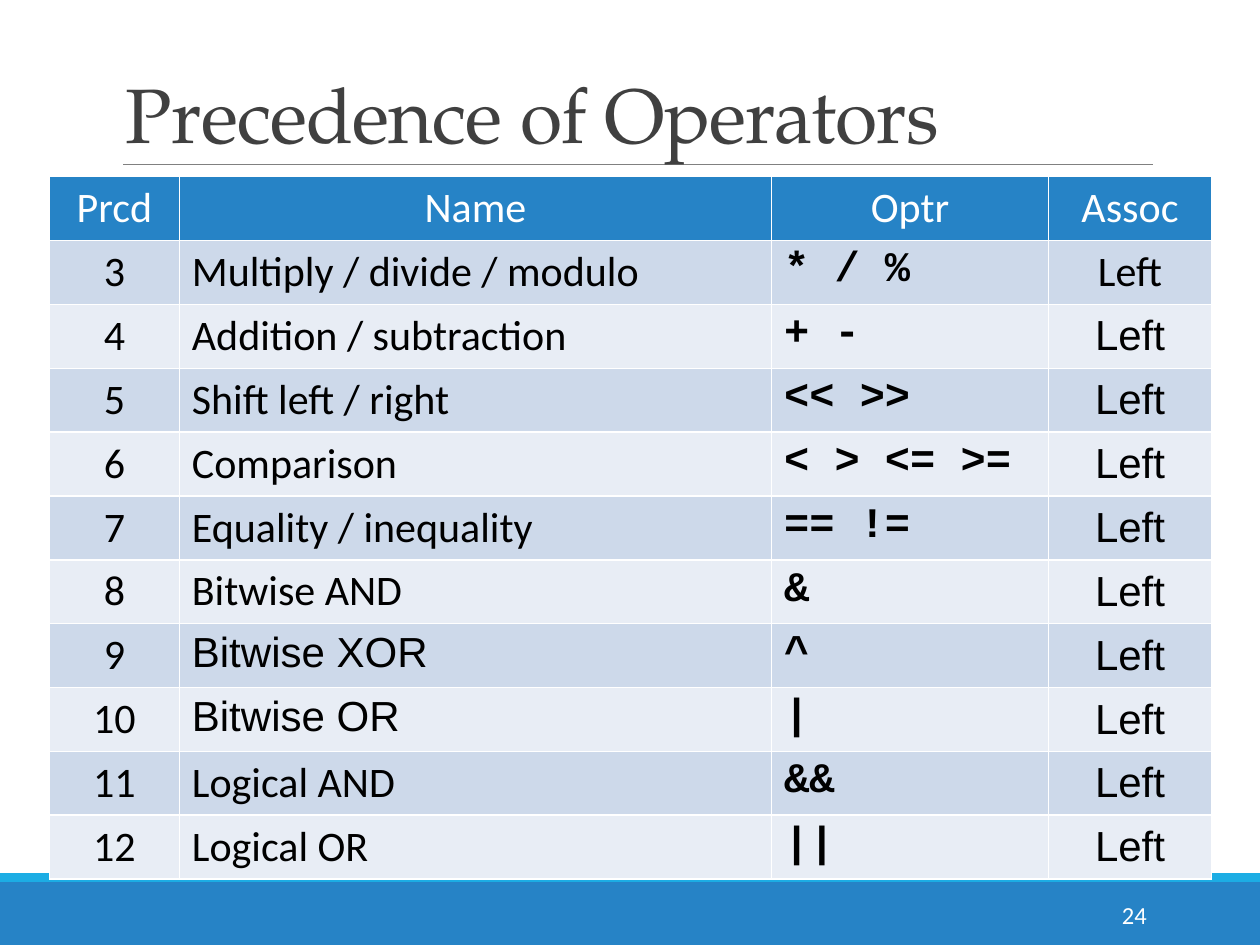
from lxml import etree
from pptx import Presentation
from pptx.dml.color import RGBColor
from pptx.enum import shapes, text
from pptx.oxml import ns
from pptx.util import Pt

ALIGN = text.PP_ALIGN
ANCHOR = text.MSO_ANCHOR
BODY, SANS, CODE = "Calibri", "Arial", "Courier New"
WHITE, BLACK, BLUE = "FFFFFF", "000000", "2683C6"
BANDS = ("CDD9EA", "E8EDF5")

HEADINGS = ("Prcd", "Name", "Optr", "Assoc")
COLUMN_WIDTHS = (74.2, 338.4, 158.4, 92.9)
ROW_HEIGHT = 36.5
FIRST_PRECEDENCE = 3
# name, name font, operators, associativity font
OPERATORS = (
    ("Multiply / divide / modulo", BODY, "* / %", BODY),
    ("Addition / subtraction", BODY, "+ -", SANS),
    ("Shift left / right", BODY, "<< >>", SANS),
    ("Comparison", BODY, "< > <= >=", SANS),
    ("Equality / inequality", BODY, "== !=", SANS),
    ("Bitwise AND", BODY, "&", SANS),
    ("Bitwise XOR", SANS, "^", SANS),
    ("Bitwise OR", SANS, "|", SANS),
    ("Logical AND", BODY, "&&", SANS),
    ("Logical OR", BODY, "||", SANS),
)


def colour(value):
    return RGBColor.from_string(value)


class Painter:
    """Holds the table style and the page being drawn."""

    cell_size = 24
    border_width = 1

    def __init__(self, page):
        self.page = page

    def bar(self, left, top, width, height, fill):
        shape = self.page.shapes.add_shape(
            shapes.MSO_SHAPE.RECTANGLE, Pt(left), Pt(top), Pt(width), Pt(height))
        shape.shadow.inherit = False
        shape.fill.solid()
        shape.fill.fore_color.rgb = colour(fill)
        shape.line.fill.background()

    def rule(self, left, right, y, stroke, width):
        line = self.page.shapes.add_connector(
            shapes.MSO_CONNECTOR.STRAIGHT, Pt(left), Pt(y), Pt(right), Pt(y))
        line.line.color.rgb = colour(stroke)
        line.line.width = Pt(width)
        etree.SubElement(line._element.spPr, ns.qn("a:effectLst"))

    def set_words(self, frame, words, font, size, ink, align=ALIGN.LEFT, bold=False):
        frame.text = words
        para = frame.paragraphs[0]
        para.alignment = align
        span = para.runs[0]
        span.font.name = font
        span.font.size = Pt(size)
        span.font.bold = bold
        span.font.color.rgb = colour(ink)
        return para

    def label(self, left, top, width, height, words, font, size, ink,
              anchor, align=ALIGN.LEFT):
        box = self.page.shapes.add_textbox(Pt(left), Pt(top), Pt(width), Pt(height))
        box.text_frame.word_wrap = True
        box.text_frame.vertical_anchor = anchor
        return self.set_words(box.text_frame, words, font, size, ink, align)

    def grid(self, left, top, widths, row_count):
        frame = self.page.shapes.add_table(
            row_count, len(widths), Pt(left), Pt(top),
            Pt(sum(widths)), Pt(row_count * ROW_HEIGHT))
        table = frame.table
        for column, width in zip(table.columns, widths):
            column.width = Pt(width)
        for row in table.rows:
            row.height = Pt(ROW_HEIGHT)
        return table

    def cell(self, cell, words, font, fill, ink=BLACK, align=ALIGN.LEFT,
             anchor=ANCHOR.TOP, bold=False):
        self.set_words(cell.text_frame, words, font, self.cell_size, ink, align, bold)
        cell.vertical_anchor = anchor
        self.borders(cell)
        cell.fill.solid()
        cell.fill.fore_color.rgb = colour(fill)

    def borders(self, cell):
        properties = cell._tc.get_or_add_tcPr()
        for side in ("lnL", "lnR", "lnT", "lnB"):
            line = etree.SubElement(properties, ns.qn(f"a:{side}"),
                                    w=str(Pt(self.border_width)))
            fill = etree.SubElement(line, ns.qn("a:solidFill"))
            etree.SubElement(fill, ns.qn("a:srgbClr"), val=WHITE)


def main():
    deck = Presentation()
    deck.slide_width, deck.slide_height = Pt(720), Pt(540)
    painter = Painter(deck.slides.add_slide(deck.slide_layouts[6]))

    painter.bar(0, 504, 720, 36, BLUE)
    painter.bar(0, 499, 720, 5, "1CADE4")
    painter.rule(70.5, 659, 94, "808080", 0.5)
    title = painter.label(64.8, 22.3, 594, 72, "Precedence of Operators",
                          "TeX Gyre Pagella", 44, "404040", ANCHOR.BOTTOM)
    title.line_spacing = 0.85
    title.runs[0].font._element.set("spc", "-50")

    table = painter.grid(28.3, 101, COLUMN_WIDTHS, len(OPERATORS) + 1)
    for column, heading in enumerate(HEADINGS):
        painter.cell(table.cell(0, column), heading, BODY, BLUE, WHITE, ALIGN.CENTER)
    centred = {"align": ALIGN.CENTER, "anchor": ANCHOR.MIDDLE}
    for index, (name, name_font, symbols, assoc_font) in enumerate(OPERATORS):
        fill = BANDS[index % 2]
        cells = table.rows[index + 1].cells
        painter.cell(cells[0], str(FIRST_PRECEDENCE + index), BODY, fill, **centred)
        painter.cell(cells[1], name, name_font, fill)
        painter.cell(cells[2], symbols, CODE, fill, bold=True)
        painter.cell(cells[3], "Left", assoc_font, fill, **centred)

    painter.label(584.6, 508.5, 77.8, 28.8, "24", BODY, 14, WHITE,
                  ANCHOR.MIDDLE, ALIGN.RIGHT)
    deck.save("out.pptx")


if __name__ == "__main__":
    main()
